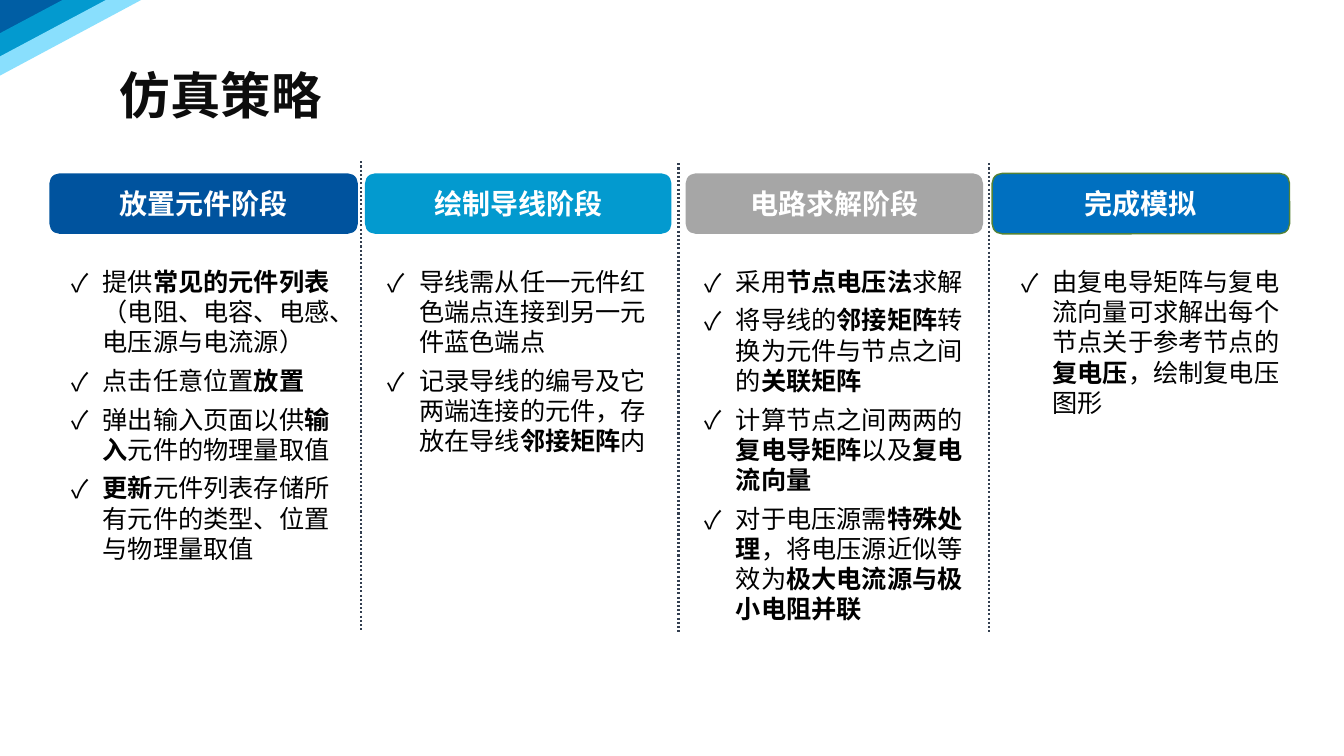
"""Build the simulation strategy slide with four stage columns."""
import pptx
import pptx.dml.color
import pptx.enum.dml
import pptx.enum.shapes
import pptx.enum.text
import pptx.oxml.ns
import pptx.util
from lxml import etree

Inches = pptx.util.Inches
Pt = pptx.util.Pt
qn = pptx.oxml.ns.qn

FONT = "Noto Sans CJK SC"
TITLE = "仿真策略"
CORNER_BANDS = [
    ("005EA4", [(0, 0.36), (0, 0), (0.68, 0)]),
    ("039ACF", [(0, 0.61), (0, 0.33), (0.62, 0), (1.13, 0)]),
    ("89DFFD", [(0, 0.75), (0, 0.56), (1.05, 0), (1.4, 0)]),
]
STAGES = [
    {"name": "放置元件阶段", "left": 0.49, "width": 3.06, "fill": "00539E",
     "outline": None, "height": 3.08,
     "steps": ["提供**常见的元件列表**（电阻、电容、电感、电压源与电流源）",
               "点击任意位置**放置**",
               "弹出输入页面以供**输入**元件的物理量取值",
               "**更新**元件列表存储所有元件的类型、位置与物理量取值"]},
    {"name": "绘制导线阶段", "left": 3.62, "width": 3.04, "fill": "039ACF",
     "outline": None, "height": 2,
     "steps": ["导线需从任一元件红色端点连接到另一元件蓝色端点",
               "记录导线的编号及它两端连接的元件，存放在导线**邻接矩阵**内"]},
    {"name": "电路求解阶段", "left": 6.8, "width": 2.95, "fill": "A6A6A6",
     "outline": None, "height": 3.68,
     "steps": ["采用**节点电压法**求解",
               "将导线的**邻接矩阵**转换为元件与节点之间的**关联矩阵**",
               "计算节点之间两两的**复电导矩阵**以及**复电流向量**",
               "对于电压源需**特殊处理**，将电压源近似等效为**极大电流源与极小电阻并联**"]},
    {"name": "完成模拟", "left": 9.84, "width": 2.95, "fill": "0070C0",
     "outline": "548235", "height": 1.61,
     "steps": ["由复电导矩阵与复电流向量可求解出每个节点关于参考节点的**复电压**，绘制复电压图形"]},
]
DIVIDERS = [(3.58, 1.6, 6.27), (6.73, 1.62, 6.28), (9.81, 1.62, 6.28)]
HEADER_TOP, HEADER_HEIGHT = 1.72, 0.6
STEPS_LEFT, STEPS_PITCH, STEPS_TOP, STEPS_WIDTH = 0.61, 3.14, 2.56, 2.83
STEP_INDENT = 0.31
LINE_RATIO = 1.2


def color(hex_value):
    return pptx.dml.color.RGBColor.from_string(hex_value)


def style(paragraph, size, hex_value, bold=None):
    font = paragraph.font
    font.size, font.name, font.bold = Pt(size), FONT, bold
    font.color.rgb = color(hex_value)
    defaults = paragraph._p.pPr.find(qn("a:defRPr"))
    etree.SubElement(defaults, qn("a:ea"), typeface=FONT)


def paint(shape, fill, outline=None):
    shape.shadow.inherit = False
    shape.fill.solid()
    shape.fill.fore_color.rgb = color(fill)
    if outline:
        shape.line.color.rgb = color(outline)
        shape.line.width = Pt(1)
    else:
        shape.line.fill.background()


def add_band(slide, fill, points):
    corners = [(Inches(x), Inches(y)) for x, y in points]
    builder = slide.shapes.build_freeform(*corners[0], scale=1.0)
    builder.add_line_segments(corners[1:], close=True)
    paint(builder.convert_to_shape(), fill)


def add_header(slide, stage):
    header = slide.shapes.add_shape(
        pptx.enum.shapes.MSO_SHAPE.ROUNDED_RECTANGLE, Inches(stage["left"]),
        Inches(HEADER_TOP), Inches(stage["width"]), Inches(HEADER_HEIGHT))
    paint(header, stage["fill"], stage["outline"])
    header.text_frame.vertical_anchor = pptx.enum.text.MSO_ANCHOR.MIDDLE
    label = header.text_frame.paragraphs[0]
    label.text = stage["name"]
    label.alignment = pptx.enum.text.PP_ALIGN.CENTER
    style(label, 20, "FFFFFF", True)


def add_divider(slide, x, top, bottom):
    divider = slide.shapes.add_connector(
        pptx.enum.shapes.MSO_CONNECTOR.STRAIGHT,
        Inches(x), Inches(top), Inches(x), Inches(bottom))
    divider.line.color.rgb = color("333F50")
    divider.line.width = Pt(1.5)
    divider.line.dash_style = pptx.enum.dml.MSO_LINE.ROUND_DOT
    etree.SubElement(divider._element.spPr, qn("a:effectLst"))


def add_steps(slide, column, stage):
    box = slide.shapes.add_textbox(
        Inches(STEPS_LEFT + column * STEPS_PITCH), Inches(STEPS_TOP),
        Inches(STEPS_WIDTH), Inches(stage["height"]))
    frame = box.text_frame
    frame.word_wrap = True
    frame.margin_top = Inches(0.08)
    for index, step in enumerate(stage["steps"]):
        paragraph = frame.add_paragraph() if index else frame.paragraphs[0]
        for part, words in enumerate(step.split("**")):
            if words:
                run = paragraph.add_run()
                run.text = words
                if part % 2:
                    run.font.bold = True
        paragraph.line_spacing = Pt(18 * LINE_RATIO)
        if index:
            paragraph.space_before = Pt(3)
        paragraph.space_after = Pt(3)
        properties = paragraph._p.get_or_add_pPr()
        properties.set("marL", str(Inches(STEP_INDENT)))
        properties.set("indent", str(-Inches(STEP_INDENT)))
        etree.SubElement(properties, qn("a:buFont"), typeface=FONT)
        etree.SubElement(properties, qn("a:buChar"), char="✓")
        style(paragraph, 18, "000000")


def add_title(slide):
    box = slide.shapes.add_textbox(
        Inches(1.09), Inches(0.54), Inches(2.2), Inches(0.71))
    box.text_frame.word_wrap = False
    box.text_frame.margin_top = Inches(0.1)
    heading = box.text_frame.paragraphs[0]
    heading.text = TITLE
    heading.line_spacing = Pt(36 * LINE_RATIO)
    style(heading, 36, "0D0D0D", True)


def main():
    deck = pptx.Presentation()
    deck.slide_width, deck.slide_height = Inches(13.33), Inches(7.5)
    slide = deck.slides.add_slide(deck.slide_layouts[6])
    for fill, points in CORNER_BANDS:
        add_band(slide, fill, points)
    for divider in DIVIDERS:
        add_divider(slide, *divider)
    for column, stage in enumerate(STAGES):
        add_header(slide, stage)
        add_steps(slide, column, stage)
    add_title(slide)
    deck.save("out.pptx")


if __name__ == "__main__":
    main()
